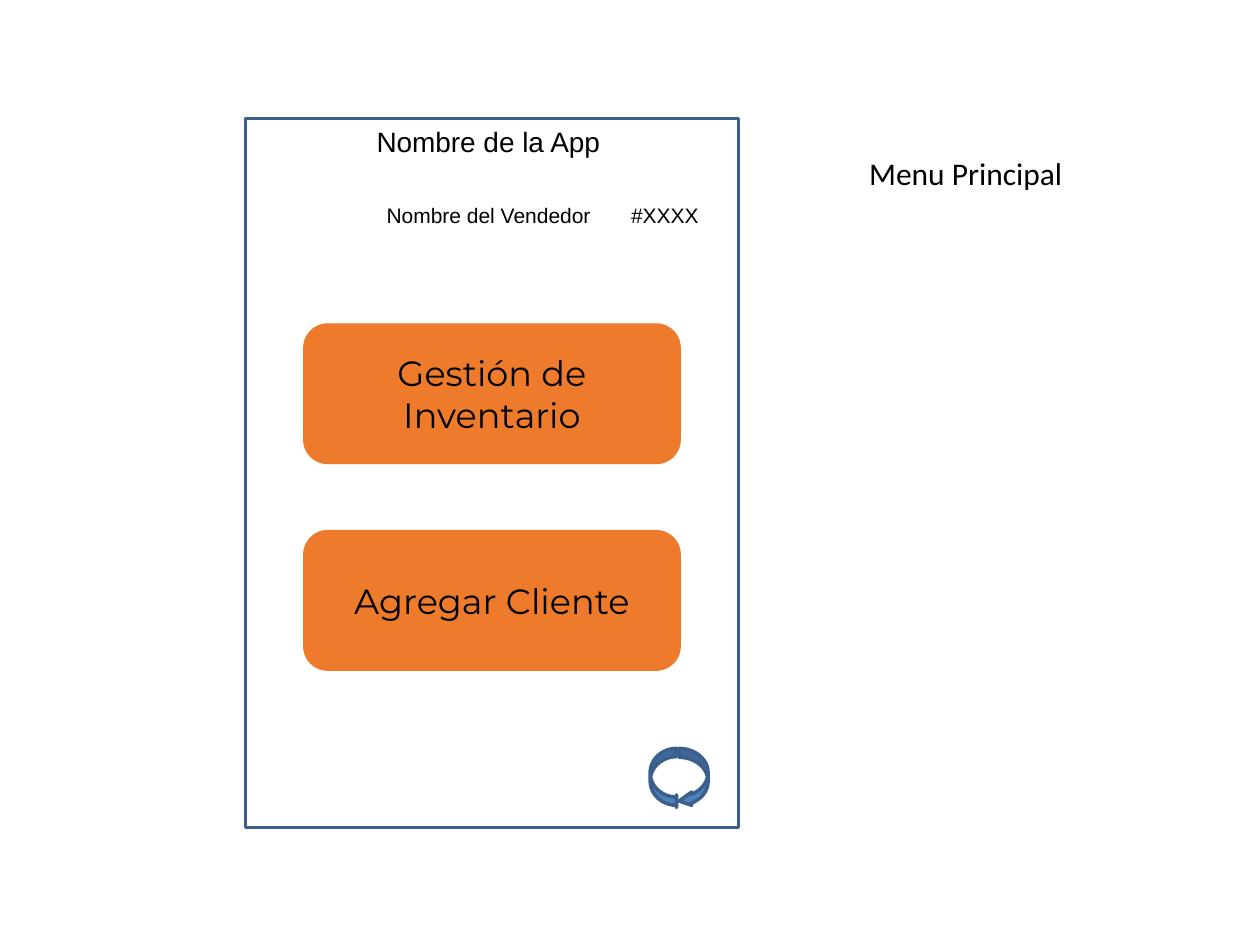
"""Build the main menu mock-up slide of a sales app."""
from lxml import etree
from pptx import Presentation
from pptx.dml.color import RGBColor
from pptx.enum import shapes, text
from pptx.oxml import ns
from pptx.util import Inches, Pt

COLORS = {"screen": "FFFFFF", "outline": "3A5F8C", "button": "ED7B2B",
          "arrow": "4F81BD", "text": "000000"}


def add_figure(page, kind, place, fill, line):
    figure = page.shapes.add_shape(kind, *map(Inches, place))
    figure.shadow.inherit = False
    figure.fill.solid()
    figure.fill.fore_color.rgb = RGBColor.from_string(COLORS[fill])
    figure.line.color.rgb = RGBColor.from_string(COLORS[line])
    figure.line.width = Pt(2)
    return figure


def write(box, wording, font, size, align):
    box.text_frame.word_wrap = True
    para = box.text_frame.paragraphs[0]
    para.text = wording
    para.alignment = align
    for span in para.runs:
        span.font.name = font
        span.font.size = Pt(size)
        span.font.color.rgb = RGBColor.from_string(COLORS["text"])
    return para


deck = Presentation()
deck.slide_width, deck.slide_height = Inches(10), Inches(7.5)
page = deck.slides.add_slide(deck.slide_layouts[6])
shape_kinds = shapes.MSO_SHAPE

add_figure(page, shape_kinds.RECTANGLE, (1.95, 0.94, 3.91, 5.63), "screen", "outline")

for row, wording in enumerate(["Gestión de Inventario", "Agregar Cliente"]):
    button = add_figure(page, shape_kinds.ROUNDED_RECTANGLE,
                        (2.42, 2.58 + row * 1.64, 2.97, 1.09), "button", "button")
    button.text_frame.vertical_anchor = text.MSO_ANCHOR.MIDDLE
    write(button, wording, "Montserrat", 20, text.PP_ALIGN.CENTER)

labels = [
    ("Nombre del Vendedor\t#XXXX", (2.97, 1.56, 2.73, 0.3), "Arial", 12),
    ("Menu Principal", (6.8, 1.17, 2.66, 0.4), "Calibri", 18),
    ("Nombre de la App", (2.89, 0.94, 2.97, 0.37), "Arial", 16),
]
for wording, place, font, size in labels:
    label = page.shapes.add_textbox(*map(Inches, place))
    label.text_frame.auto_size = text.MSO_AUTO_SIZE.SHAPE_TO_FIT_TEXT
    para = write(label, wording, font, size, text.PP_ALIGN.LEFT)
    if "\t" in wording:
        tabs = etree.SubElement(para._p.get_or_add_pPr(), ns.qn("a:tabLst"))
        etree.SubElement(tabs, ns.qn("a:tab"), pos=str(Inches(1.94)), algn="l")

arrows = [
    (shape_kinds.CURVED_RIGHT_ARROW, 5.16, 0.21, (0.312, 0.485, 0)),
    (shape_kinds.CURVED_LEFT_ARROW, 5.39, 0.23, (0.306, 0.458, 0.43)),
]
for kind, left, width, bends in arrows:
    arrow = add_figure(page, kind, (left, 5.94, width, 0.47), "arrow", "outline")
    for index, bend in enumerate(bends):
        arrow.adjustments[index] = bend

deck.save("out.pptx")
